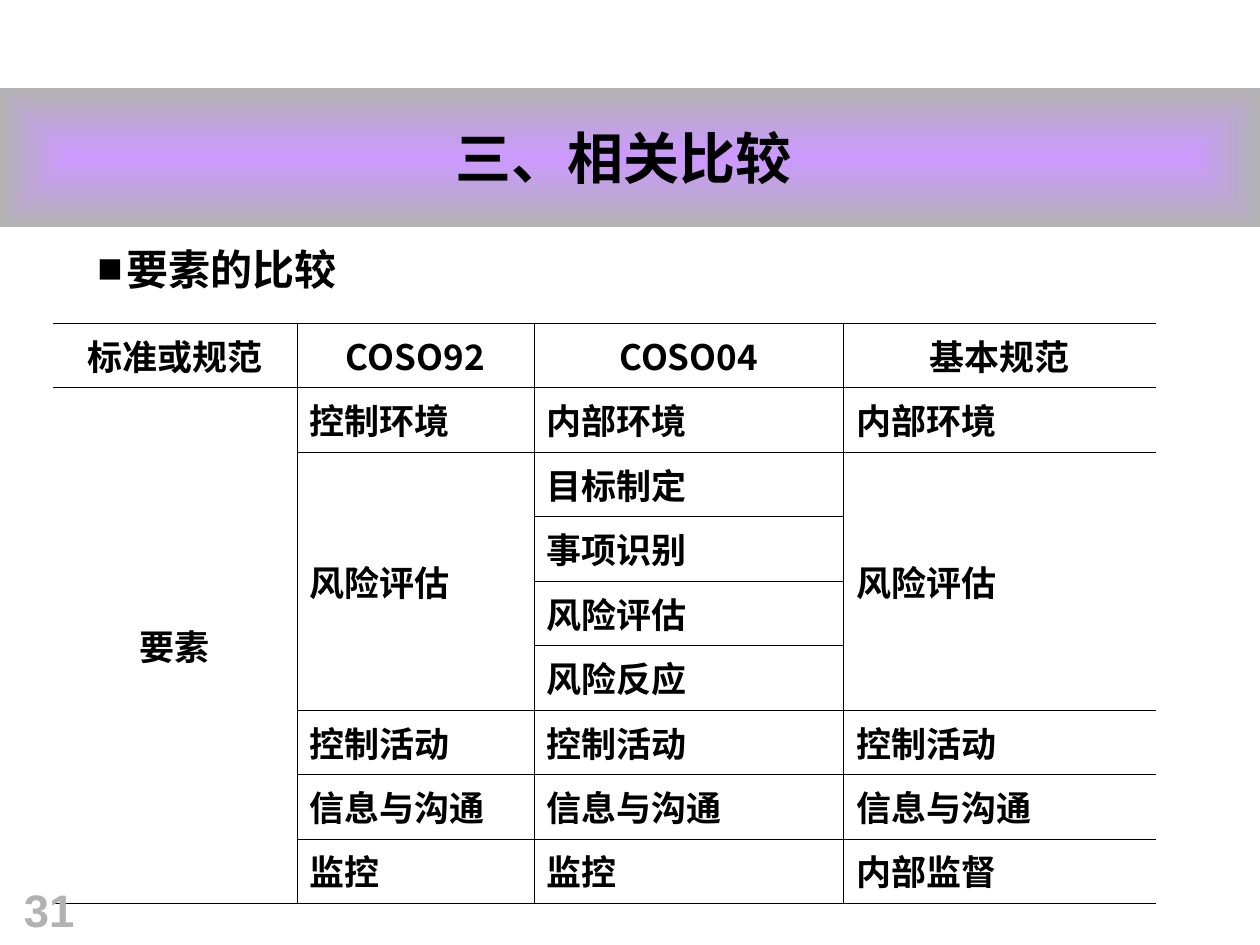
from lxml import etree
from pptx import Presentation
from pptx.dml.color import RGBColor
from pptx.enum import text
from pptx.oxml import parse_xml
from pptx.oxml.ns import nsdecls, qn
from pptx.util import Pt

BLACK = RGBColor(0x00, 0x00, 0x00)
GRAY = RGBColor(0xB2, 0xB2, 0xB2)
VIOLET = RGBColor(0xCC, 0x99, 0xFF)
CJK = "Noto Sans CJK SC"
SERIF = "Times New Roman"
RULE_WIDTH = Pt(0.45)

COLUMN_WIDTHS = [139.4, 135.4, 177.1, 178.3]
COMPARISON = [
    ["标准或规范", "COSO92", "COSO04", "基本规范"],
    ["要素", "控制环境", "内部环境", "内部环境"],
    ["", "风险评估", "目标制定", "风险评估"],
    ["", "", "事项识别", ""],
    ["", "", "风险评估", ""],
    ["", "", "风险反应", ""],
    ["", "控制活动", "控制活动", "控制活动"],
    ["", "信息与沟通", "信息与沟通", "信息与沟通"],
    ["", "监控", "监控", "内部监督"],
]
MERGES = [(1, 0, 8), (2, 1, 5), (2, 3, 5)]


def write(frame, words, size, font, color=BLACK, align=text.PP_ALIGN.LEFT):
    frame.text = words
    paragraph = frame.paragraphs[0]
    paragraph.alignment = align
    for run in paragraph.runs:
        run.font.size = Pt(size)
        run.font.bold = True
        run.font.color.rgb = color
        run.font.name = font
        properties = run._r.get_or_add_rPr()
        etree.SubElement(properties, qn("a:ea")).set("typeface", CJK)
    return paragraph


def place(shape, box):
    shape.left, shape.top, shape.width, shape.height = (Pt(side) for side in box)


def title_banner(slide, box):
    banner = slide.shapes.title
    place(banner, box)
    outline = f'<a:prstGeom {nsdecls("a")} prst="ellipse"><a:avLst/></a:prstGeom>'
    gradient = (
        f'<a:gradFill {nsdecls("a")} rotWithShape="1"><a:gsLst>'
        f'<a:gs pos="0"><a:srgbClr val="{VIOLET}"/></a:gs>'
        f'<a:gs pos="100000"><a:srgbClr val="{GRAY}"/></a:gs></a:gsLst>'
        '<a:path path="rect"><a:fillToRect l="50000" t="50000" r="50000" b="50000"/>'
        '</a:path></a:gradFill>'
    )
    for part in (outline, gradient):
        banner._element.spPr.append(parse_xml(part))
    frame = banner.text_frame
    frame.word_wrap = False
    frame.auto_size = text.MSO_AUTO_SIZE.NONE
    frame.vertical_anchor = text.MSO_ANCHOR.MIDDLE
    write(frame, "三、相关比较 ", 32, SERIF, align=text.PP_ALIGN.CENTER)


def subheading(slide, box):
    frame = slide.shapes.add_textbox(*(Pt(side) for side in box)).text_frame
    frame.word_wrap = False
    paragraph = write(frame, "要素的比较", 24, SERIF)
    properties = paragraph._p.get_or_add_pPr()
    properties.set("marL", str(Pt(16.5)))
    properties.set("indent", str(-Pt(16.5)))
    color = etree.SubElement(properties, qn("a:buClr"))
    etree.SubElement(color, qn("a:srgbClr")).set("val", str(BLACK))
    etree.SubElement(properties, qn("a:buFont")).set("typeface", SERIF)
    etree.SubElement(properties, qn("a:buChar")).set("char", "■")


def rule_cell(cell, hidden_sides):
    cell.fill.background()
    properties = cell._tc.get_or_add_tcPr()
    for position, side in enumerate("LRTB"):
        if side in hidden_sides:
            paint = "<a:noFill/>"
        else:
            paint = f'<a:solidFill><a:srgbClr val="{BLACK}"/></a:solidFill>'
        border = f'<a:ln{side} {nsdecls("a")} w="{RULE_WIDTH}">{paint}</a:ln{side}>'
        properties.insert(position, parse_xml(border))


def comparison_table(slide, box):
    rows, columns = len(COMPARISON), len(COLUMN_WIDTHS)
    table = slide.shapes.add_table(rows, columns, *(Pt(side) for side in box)).table
    table.first_row = table.horz_banding = False
    for column, width in zip(table.columns, COLUMN_WIDTHS):
        column.width = Pt(width)
    for row in table.rows:
        row.height = Pt(box[3] / rows)
    for r, entries in enumerate(COMPARISON):
        for c, words in enumerate(entries):
            cell = table.cell(r, c)
            rule_cell(cell, {0: "L", columns - 1: "R"}.get(c, ""))
            centered = r == 0 or c == 0
            align = text.PP_ALIGN.CENTER if centered else text.PP_ALIGN.LEFT
            if words:
                write(cell.text_frame, words, 20, CJK, align=align)
    for first, c, last in MERGES:
        table.cell(first, c).merge(table.cell(last, c))
        table.cell(first, c).vertical_anchor = text.MSO_ANCHOR.MIDDLE


def page_number(slide, box):
    frame = slide.shapes.add_textbox(*(Pt(side) for side in box)).text_frame
    frame.word_wrap = True
    frame.vertical_anchor = text.MSO_ANCHOR.BOTTOM
    write(frame, "31", 26, "Arial", GRAY)


def main():
    deck = Presentation()
    deck.slide_width, deck.slide_height = Pt(720), Pt(540)
    slide = deck.slides.add_slide(deck.slide_layouts[5])
    comparison_table(slide, (30.3, 184.8, sum(COLUMN_WIDTHS), 331.4))
    subheading(slide, (48.5, 135.4, 152.6, 36))
    title_banner(slide, (0, 50.4, 720, 79.2))
    page_number(slide, (6.5, 499.7, 46, 38.9))
    deck.save("out.pptx")


if __name__ == "__main__":
    main()
